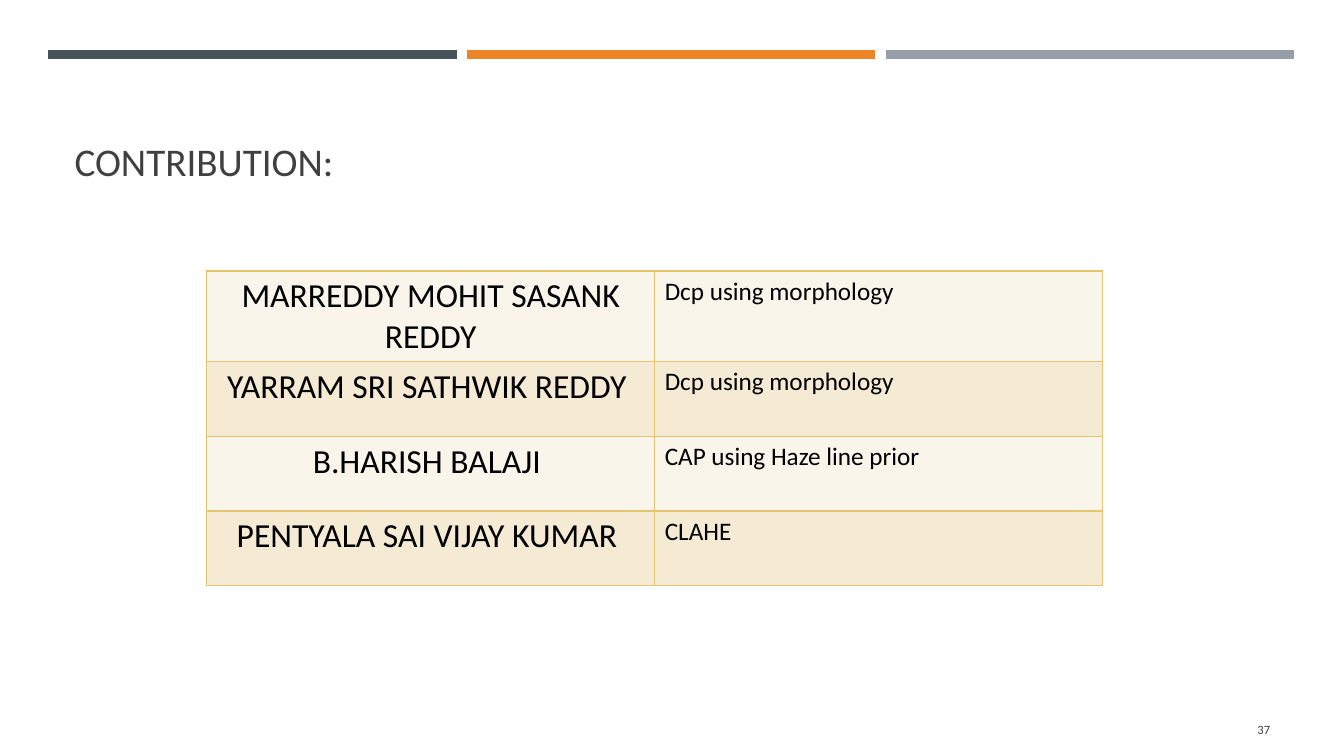
from lxml import etree
from pptx import Presentation
from pptx.dml.color import RGBColor
from pptx.enum.shapes import MSO_CONNECTOR
from pptx.enum.text import MSO_ANCHOR, PP_ALIGN
from pptx.oxml.ns import qn
from pptx.util import Cm, Pt

STRAIGHT = MSO_CONNECTOR.STRAIGHT
TOP, MIDDLE, BOTTOM = MSO_ANCHOR.TOP, MSO_ANCHOR.MIDDLE, MSO_ANCHOR.BOTTOM
LEFT, CENTER, RIGHT = PP_ALIGN.LEFT, PP_ALIGN.CENTER, PP_ALIGN.RIGHT

# Content
TITLE = "CONTRIBUTION:"
PAGE_NUMBER = "37"
CONTRIBUTIONS = [
    ("MARREDDY MOHIT SASANK REDDY", "Dcp using morphology"),
    ("YARRAM SRI SATHWIK REDDY ", "Dcp using morphology"),
    ("B.HARISH BALAJI ", "CAP using Haze line prior"),
    ("PENTYALA SAI VIJAY KUMAR ", "CLAHE"),
]
COLUMN_STYLES = [(24, CENTER), (18, LEFT)]

# Look
FONT = "Calibri"
GREY, BLACK = "404040", "000000"
BAR_COLORS = ["465359", "ED8428", "969FA7"]
BAND_COLORS = ["FAF5EB", "F5EAD4"]
BORDER_COLOR = "E6C46D"

# Layout in cm
BAR_LEFT, BAR_TOP, BAR_LENGTH, BAR_STEP = 1.22, 1.37, 10.29, 10.55
TABLE_LEFT, TABLE_TOP, COLUMN_WIDTH, ROW_HEIGHT = 5.21, 6.83, 11.29, 1.88


def rgb(color):
    return RGBColor.from_string(color)


def write(frame, text, size, color, align):
    paragraph = frame.paragraphs[0]
    paragraph.alignment = align
    run = paragraph.add_run()
    run.text = text
    run.font.name = FONT
    run.font.size = Pt(size)
    run.font.color.rgb = rgb(color)


def add_label(slide, box, text, size, align, anchor):
    frame = slide.shapes.add_textbox(*map(Cm, box)).text_frame
    frame.word_wrap = True
    frame.vertical_anchor = anchor
    write(frame, text, size, GREY, align)


def add_bar(slide, left, color):
    bar = slide.shapes.add_connector(
        STRAIGHT, Cm(left), Cm(BAR_TOP), Cm(left + BAR_LENGTH), Cm(BAR_TOP))
    bar.line.color.rgb = rgb(color)
    bar.line.width = Pt(6.5)
    etree.SubElement(bar._element.spPr, qn("a:effectLst"))


def add_borders(cell):
    properties = cell._tc.get_or_add_tcPr()
    for position, side in enumerate(("a:lnL", "a:lnR", "a:lnT", "a:lnB")):
        border = etree.Element(qn(side), w=str(Pt(1)))
        fill = etree.SubElement(border, qn("a:solidFill"))
        etree.SubElement(fill, qn("a:srgbClr"), val=BORDER_COLOR)
        properties.insert(position, border)


def add_contributions(slide):
    rows, columns = len(CONTRIBUTIONS), len(COLUMN_STYLES)
    table = slide.shapes.add_table(
        rows, columns, Cm(TABLE_LEFT), Cm(TABLE_TOP),
        Cm(COLUMN_WIDTH * columns), Cm(ROW_HEIGHT * rows)).table
    table.first_row = False
    for r, contribution in enumerate(CONTRIBUTIONS):
        for c, (text, (size, align)) in enumerate(zip(contribution, COLUMN_STYLES)):
            cell = table.cell(r, c)
            cell.fill.solid()
            cell.fill.fore_color.rgb = rgb(BAND_COLORS[r % 2])
            cell.vertical_anchor = TOP
            write(cell.text_frame, text, size, BLACK, align)
            add_borders(cell)


def main():
    deck = Presentation()
    deck.slide_width, deck.slide_height = Cm(33.87), Cm(19.05)
    slide = deck.slides.add_slide(deck.slide_layouts[6])

    # Bars across the top
    for i, color in enumerate(BAR_COLORS):
        add_bar(slide, BAR_LEFT + i * BAR_STEP, color)

    # Title, page number and table
    add_label(slide, (1.63, 2.03, 30.63, 2.74), TITLE, 28, LEFT, BOTTOM)
    add_label(slide, (29.34, 17.86, 2.92, 1.02), PAGE_NUMBER, 9, RIGHT, MIDDLE)
    add_contributions(slide)

    deck.save("out.pptx")


if __name__ == "__main__":
    main()
